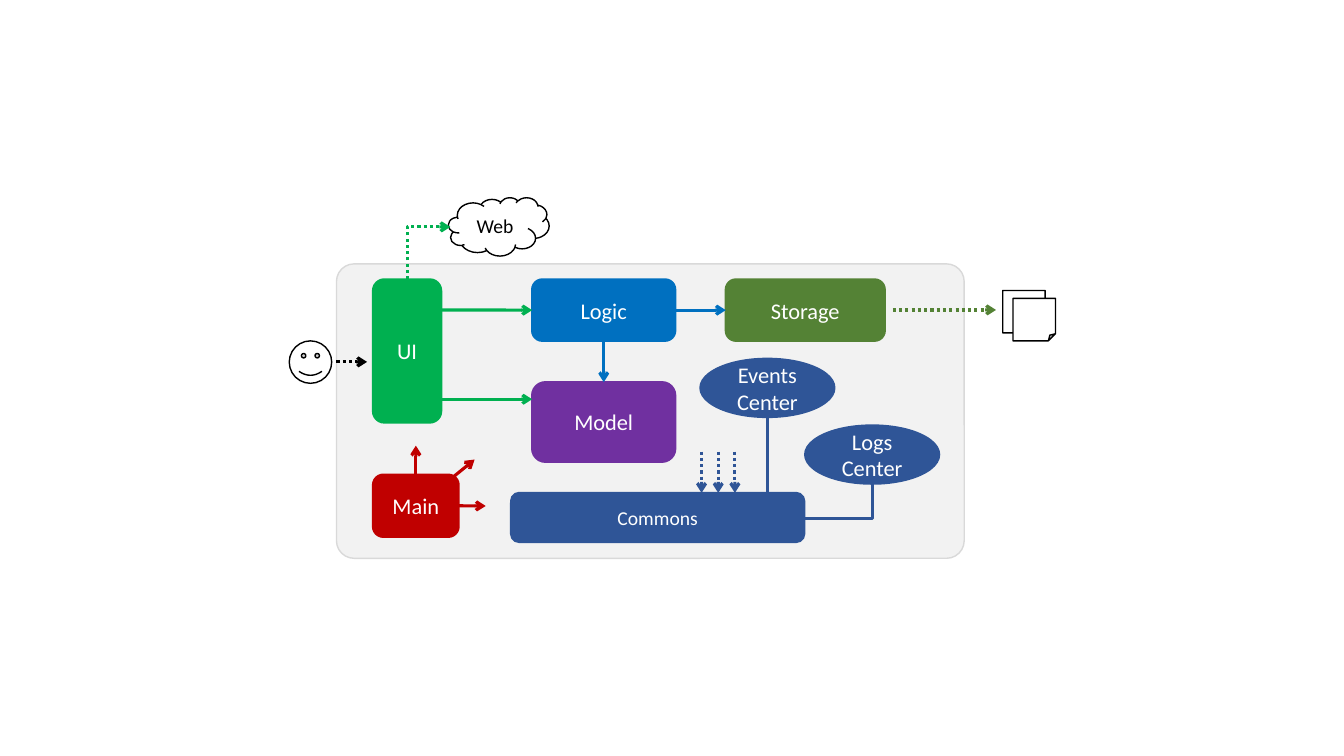
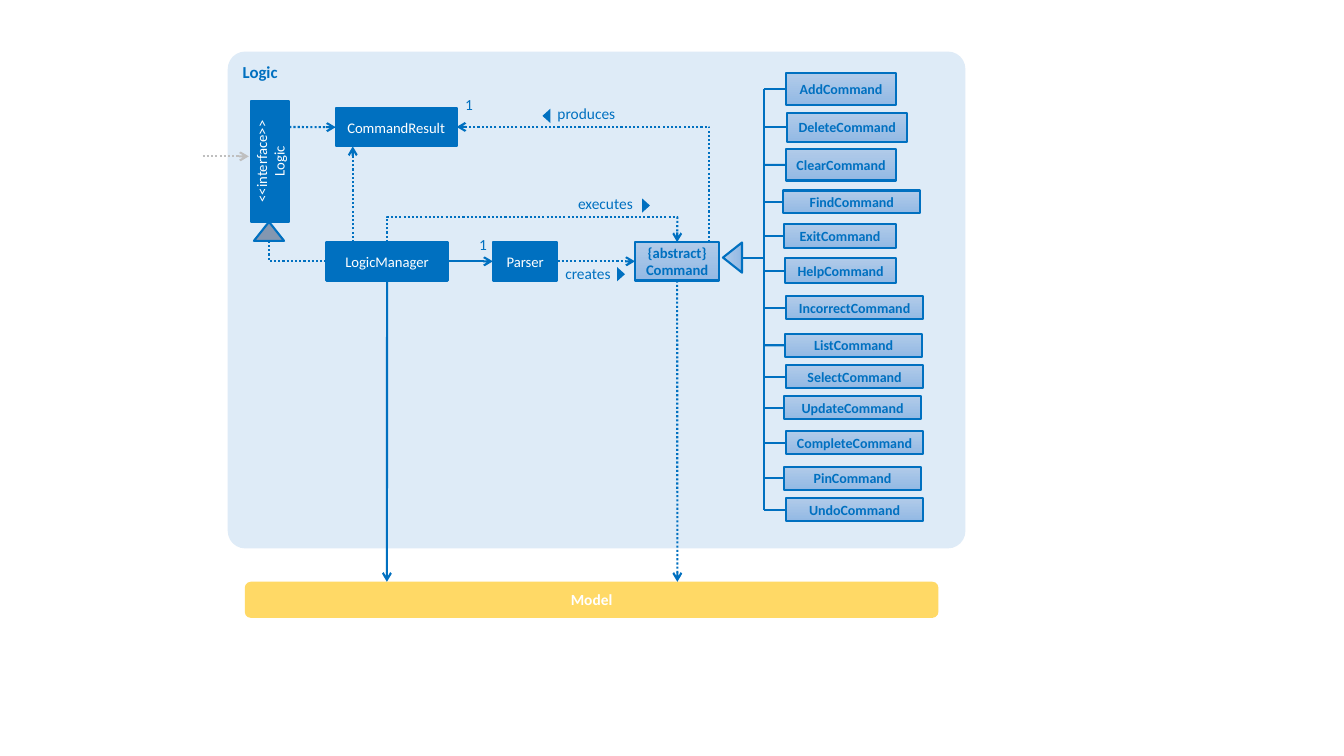
import lxml.etree
import pptx
import pptx.dml.color
import pptx.enum.dml
import pptx.enum.shapes
import pptx.enum.text
import pptx.oxml.ns
import pptx.util

Cm = pptx.util.Cm
Pt = pptx.util.Pt
RGBColor = pptx.dml.color.RGBColor
Shape = pptx.enum.shapes.MSO_SHAPE
Connector = pptx.enum.shapes.MSO_CONNECTOR
Align = pptx.enum.text.PP_ALIGN
Anchor = pptx.enum.text.MSO_ANCHOR
qn = pptx.oxml.ns.qn

WHITE = RGBColor(0xFF, 0xFF, 0xFF)
BLACK = RGBColor(0x00, 0x00, 0x00)
PALE_GRAY = RGBColor(0xF2, 0xF2, 0xF2)
LIGHT_GRAY = RGBColor(0xD9, 0xD9, 0xD9)
MID_GRAY = RGBColor(0xBF, 0xBF, 0xBF)
SLATE = RGBColor(0x84, 0x97, 0xB0)
GREEN = RGBColor(0x00, 0xB0, 0x50)
OLIVE = RGBColor(0x54, 0x82, 0x35)
BLUE = RGBColor(0x00, 0x70, 0xC0)
NAVY = RGBColor(0x2F, 0x55, 0x97)
PALE_BLUE = RGBColor(0xDE, 0xEB, 0xF7)
PURPLE = RGBColor(0x70, 0x30, 0xA0)
RED = RGBColor(0xC0, 0x00, 0x00)
YELLOW = RGBColor(0xFF, 0xD9, 0x66)
BLUE_FADE = [RGBColor(0xB1, 0xCB, 0xE9), RGBColor(0x93, 0xB9, 0xE4)]

TOP, LEFT, BOTTOM, RIGHT = range(4)
FONT = "Calibri"


def add_box(page, kind, at, text="", fill=None, outline=None, weight=1.5, corner=None,
            rotation=0, size=16, color=WHITE, bold=False, align=Align.CENTER,
            anchor=Anchor.MIDDLE, margin=0):
    place = [Cm(value) for value in at]
    if kind is None:
        box = page.shapes.add_textbox(*place)
    else:
        box = page.shapes.add_shape(kind, *place)
        box.shadow.inherit = False
    box.rotation = rotation
    if corner is not None:
        box.adjustments[0] = corner
    if isinstance(fill, list):
        box.fill.gradient()
        box.fill.gradient_angle = 270
        for stop, shade in zip(box.fill.gradient_stops, fill):
            stop.color.rgb = shade
    elif fill is not None:
        box.fill.solid()
        box.fill.fore_color.rgb = fill
    if outline is None:
        box.line.fill.background()
    else:
        box.line.color.rgb = outline
        box.line.width = Pt(weight)
    if text:
        frame = box.text_frame
        frame.word_wrap = True
        frame.vertical_anchor = anchor
        frame.margin_left = frame.margin_right = Cm(margin)
        frame.margin_top = frame.margin_bottom = Cm(margin / 2)
        frame.text = text
        for para in frame.paragraphs:
            para.alignment = align
            for span in para.runs:
                span.font.name = FONT
                span.font.size = Pt(size)
                span.font.bold = bold
                span.font.color.rgb = color
    return box


def add_line(page, begin, end, color=BLUE, weight=1.5, dotted=False, arrow=True,
             upright_first=False, begin_join=None, end_join=None):
    kind = Connector.ELBOW if upright_first else Connector.STRAIGHT
    line = page.shapes.add_connector(kind, *[Cm(value) for value in (*begin, *end)])
    if begin_join:
        line.begin_connect(*begin_join)
    if end_join:
        line.end_connect(*end_join)
    line.line.color.rgb = color
    line.line.width = Pt(weight)
    if dotted:
        line.line.dash_style = pptx.enum.dml.MSO_LINE.ROUND_DOT
    properties = line.element.spPr
    if upright_first:
        guides = properties.find(qn("a:prstGeom")).find(qn("a:avLst"))
        lxml.etree.SubElement(guides, qn("a:gd"), name="adj1", fmla="val 0")
    if arrow:
        lxml.etree.SubElement(properties.find(qn("a:ln")), qn("a:tailEnd"), type="arrow")
    lxml.etree.SubElement(properties, qn("a:effectLst"))
    return line


deck = pptx.Presentation()
deck.slide_width = Cm(33.87)
deck.slide_height = Cm(19.05)
blank = deck.slide_layouts[6]

page = deck.slides.add_slide(blank)
add_box(page, Shape.ROUNDED_RECTANGLE, (8.48, 6.65, 15.82, 7.42),
        fill=PALE_GRAY, outline=LIGHT_GRAY, weight=1, corner=0.06)

parts = {}
for name, at, color, size in [
    ("UI", (9.4, 7.04, 1.72, 3.61), GREEN, 16),
    ("Logic", (13.41, 7.04, 3.61, 1.55), BLUE, 16),
    ("Storage", (18.29, 7.04, 4.01, 1.55), OLIVE, 16),
    ("Model", (13.41, 9.63, 3.61, 2.01), PURPLE, 16),
    ("Commons", (12.88, 12.42, 7.39, 1.24), NAVY, 14),
    ("Main", (9.4, 11.96, 2.16, 1.57), RED, 16),
]:
    parts[name] = add_box(page, Shape.ROUNDED_RECTANGLE, at, name,
                          fill=color, outline=color, size=size)

for kind, at, text in [
    (Shape.SMILEY_FACE, (7.29, 8.59, 1.07, 1.07), ""),
    (Shape.FOLDED_CORNER, (25.27, 7.32, 1.07, 1.07), ""),
    (Shape.FOLDED_CORNER, (25.53, 7.52, 1.07, 1.07), ""),
    (Shape.CLOUD, (11.3, 4.98, 2.54, 1.47), "Web"),
]:
    add_box(page, kind, at, text, fill=WHITE, outline=BLACK, weight=1, size=14, color=BLACK)

for text, left, top in [("Events Center", 17.65, 9.04), ("Logs\vCenter", 20.29, 10.72)]:
    add_box(page, Shape.OVAL, (left, top, 3.38, 1.47), text, fill=NAVY, outline=NAVY)

logic, main = parts["Logic"], parts["Main"]
for begin, end, color, joins in [
    ((11.1, 7.81), (13.41, 7.81), GREEN, {"end_join": (logic, LEFT)}),
    ((11.1, 10.06), (13.41, 10.06), GREEN, {}),
    ((15.21, 8.59), (15.21, 9.63), BLUE,
     {"begin_join": (logic, BOTTOM), "end_join": (parts["Model"], TOP)}),
    ((17.02, 7.81), (18.29, 7.81), BLUE,
     {"begin_join": (logic, RIGHT), "end_join": (parts["Storage"], LEFT)}),
    ((11.56, 12.75), (12.24, 12.75), RED, {"begin_join": (main, RIGHT)}),
    ((11.15, 12.24), (11.96, 11.58), RED, {}),
    ((10.48, 11.96), (10.48, 11.23), RED, {"begin_join": (main, TOP)}),
]:
    add_line(page, begin, end, color, 2.25, **joins)

add_line(page, (8.48, 9.12), (9.25, 9.12), BLACK, 2.25, dotted=True)
add_line(page, (22.5, 7.81), (25.1, 7.81), OLIVE, 2.25, dotted=True)
add_line(page, (10.26, 7.04), (11.35, 5.72), GREEN, 2.25, dotted=True, upright_first=True)
for step in range(3):
    x = 17.68 + 0.42 * step
    add_line(page, (x, 11.38), (x, 12.42), NAVY, 2.25, dotted=True)
add_line(page, (22, 12.19), (20.27, 13.06), NAVY, 2.25, arrow=False, upright_first=True)
add_line(page, (19.34, 10.52), (19.34, 12.42), NAVY, 2.25, arrow=False)

page = deck.slides.add_slide(blank)
add_box(page, Shape.ROUNDED_RECTANGLE, (5.74, 1.3, 18.59, 12.52), "Logic", fill=PALE_BLUE,
        corner=0.035, size=12, color=BLUE, bold=True, align=Align.LEFT,
        anchor=Anchor.TOP, margin=0.25)
add_box(page, Shape.ROUNDED_RECTANGLE, (6.17, 14.66, 17.48, 0.91), "Model",
        fill=YELLOW, size=11, bold=True)

result, manager, parser, interface = [
    add_box(page, Shape.RECTANGLE, (left, top, width, 0.97), text, fill=BLUE, outline=BLUE,
            size=10.5, rotation=rotation)
    for text, left, top, width, rotation in [
        ("CommandResult", 8.46, 2.72, 3.05, 0),
        ("LogicManager", 8.23, 6.1, 3.05, 0),
        ("Parser", 12.42, 6.1, 1.63, 0),
        ("<<interface>>\nLogic", 5.28, 3.58, 3.05, 270),
    ]
]
command = add_box(page, Shape.RECTANGLE, (16, 6.1, 2.13, 0.97), "{abstract}\vCommand",
                  fill=BLUE_FADE, outline=BLUE, size=10.5, color=BLUE, bold=True)
add_box(page, Shape.ISOSCELES_TRIANGLE, (6.4, 5.59, 0.76, 0.48), fill=SLATE, outline=BLUE)
add_box(page, Shape.ISOSCELES_TRIANGLE, (18.08, 6.25, 0.76, 0.48), fill=BLUE_FADE,
        outline=BLUE, rotation=270)

add_line(page, (5.11, 3.94), (6.27, 3.94), MID_GRAY, dotted=True)
add_line(page, (7.29, 3.2), (8.46, 3.2), dotted=True, end_join=(result, LEFT))
add_line(page, (8.89, 6.1), (8.89, 3.69), dotted=True)
add_line(page, (6.78, 6.07), (8.23, 6.58), dotted=True, arrow=False, upright_first=True)
add_line(page, (17.88, 6.1), (11.51, 3.2), dotted=True, upright_first=True)
add_line(page, (9.75, 6.1), (17.07, 5.46), dotted=True, arrow=False, upright_first=True)
add_line(page, (17.07, 5.46), (17.07, 6.1), dotted=True, end_join=(command, TOP))
add_line(page, (11.28, 6.58), (12.42, 6.58),
         begin_join=(manager, RIGHT), end_join=(parser, LEFT))
add_line(page, (14.05, 6.58), (16, 6.58), dotted=True,
         begin_join=(parser, RIGHT), end_join=(command, LEFT))
add_line(page, (9.75, 7.07), (9.75, 14.66), begin_join=(manager, BOTTOM))
add_line(page, (17.07, 7.07), (17.07, 14.66), dotted=True, begin_join=(command, BOTTOM))

for text, left, top, width, align in [
    ("executes", 13.92, 4.9, 2.03, Align.RIGHT),
    ("produces", 14.05, 2.62, 2.03, Align.LEFT),
    ("creates", 13.84, 6.65, 1.55, Align.RIGHT),
    ("1", 11.56, 2.39, 0.36, Align.RIGHT),
    ("1", 11.91, 5.92, 0.36, Align.RIGHT),
]:
    add_box(page, None, (left, top, width, 0.64), text, size=11, color=BLUE,
            align=align, anchor=Anchor.TOP)
for left, top, rotation in [(16.1, 5.08, 90), (13.59, 2.82, 270), (15.47, 6.81, 90)]:
    add_box(page, Shape.ISOSCELES_TRIANGLE, (left, top, 0.36, 0.2), fill=BLUE,
            rotation=rotation)

trunk = 19.25
commands = [
    ("Add", 19.81, 1.85, 2.77, 0.79),
    ("Delete", 19.84, 2.84, 3.02, 0.74),
    ("Clear", 19.81, 3.76, 2.77, 0.79),
    ("Find", 19.74, 4.8, 3.45, 0.58),
    ("Exit", 19.76, 5.64, 2.82, 0.61),
    ("Help", 19.79, 6.5, 2.79, 0.64),
    ("Incorrect", 19.81, 7.47, 3.45, 0.58),
    ("List", 19.79, 8.41, 3.45, 0.58),
    ("Select", 19.81, 9.2, 3.45, 0.58),
    ("Update", 19.76, 9.99, 3.45, 0.58),
    ("Complete", 19.81, 10.87, 3.45, 0.58),
    ("Pin", 19.76, 11.76, 3.45, 0.58),
    ("Undo", 19.81, 12.55, 3.45, 0.58),
]
middles = [top + height / 2 for _, _, top, _, height in commands]
for (name, *at), middle in zip(commands, middles):
    box = add_box(page, Shape.RECTANGLE, at, name + "Command", fill=BLUE_FADE,
                  outline=BLUE, size=10, color=BLUE, bold=True)
    add_line(page, (trunk, middle), (at[0], middle), arrow=False, end_join=(box, LEFT))
add_line(page, (trunk, middles[0]), (trunk, middles[-1]), arrow=False)
add_line(page, (18.7, 6.49), (trunk, 6.49), arrow=False)

deck.save("out.pptx")
